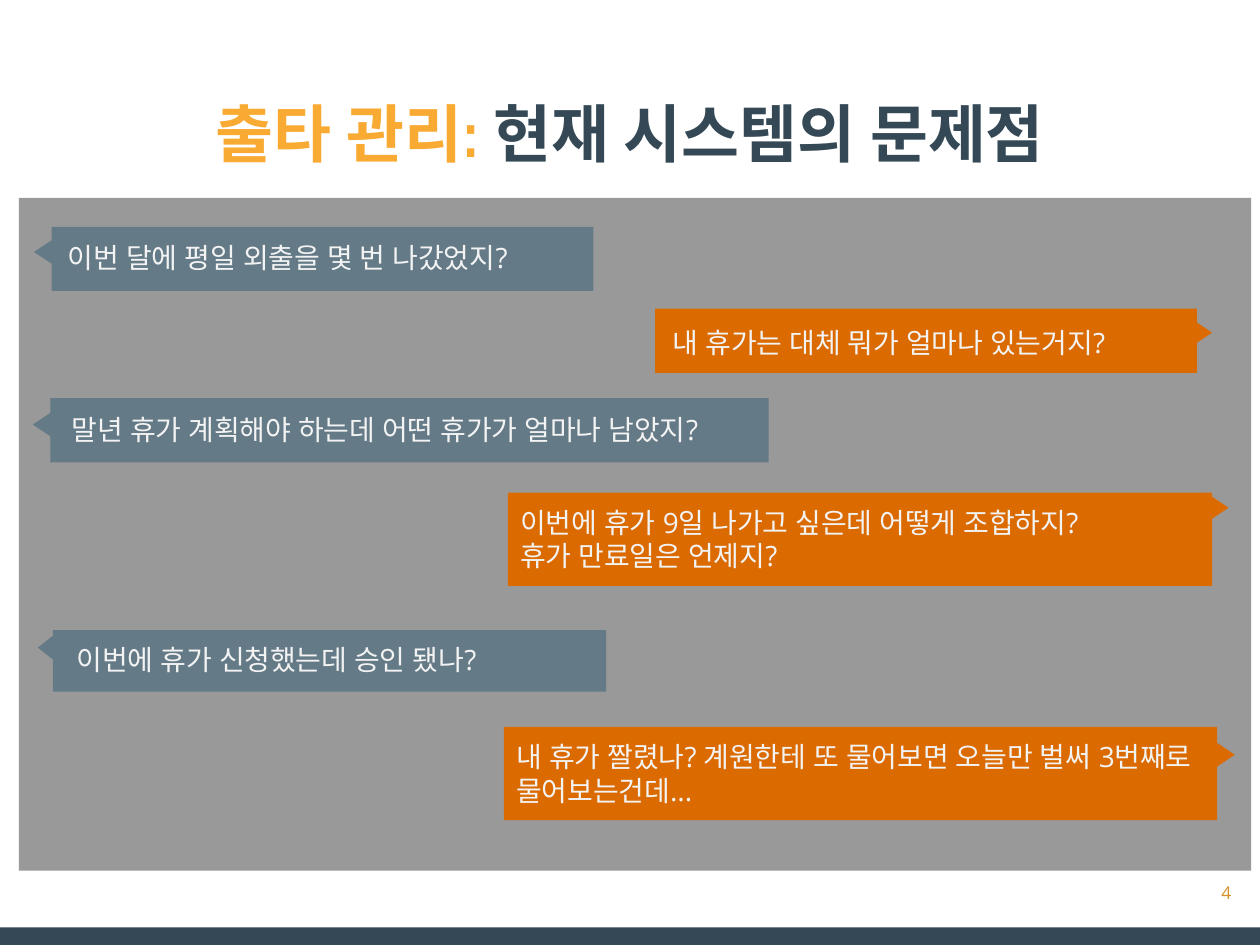
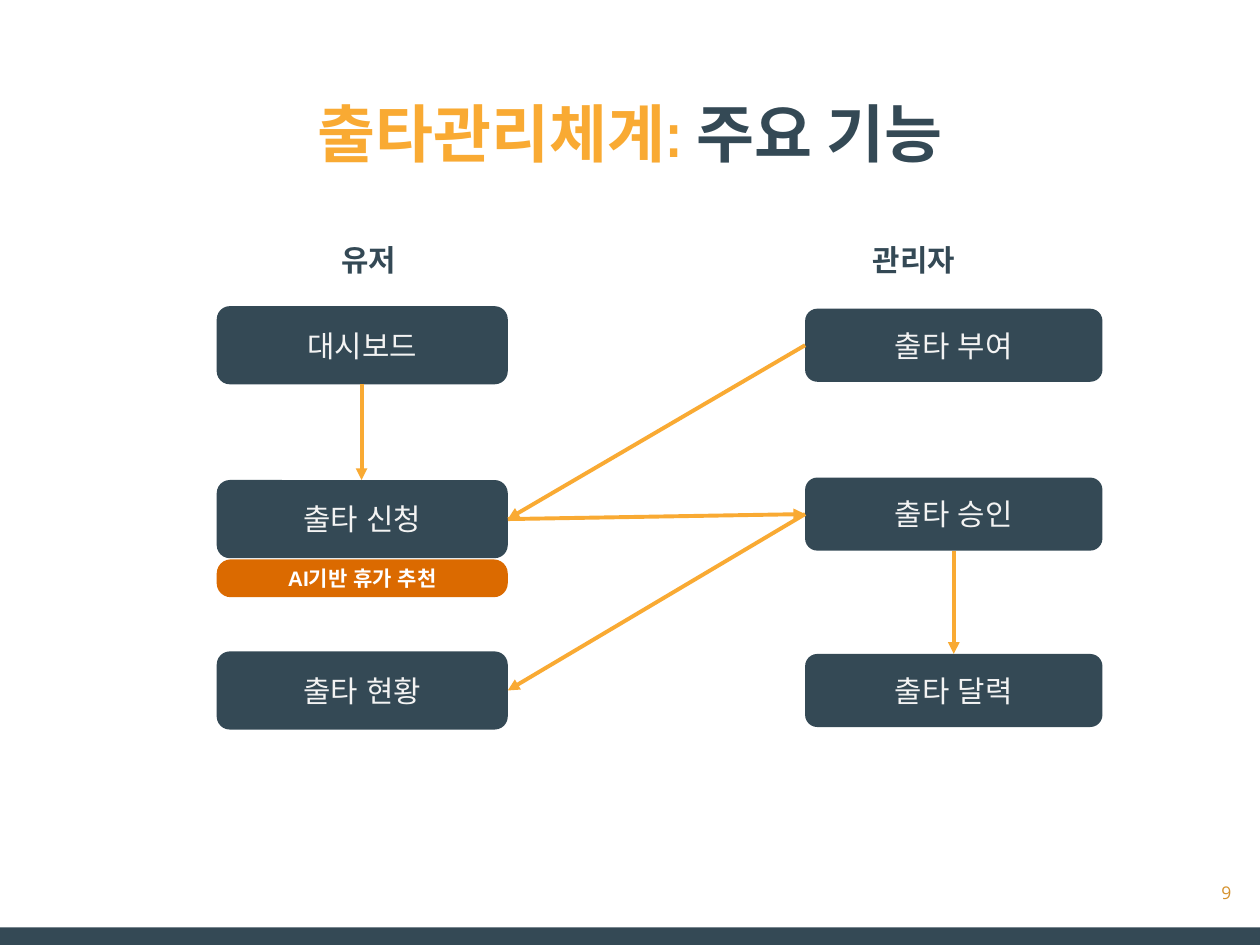
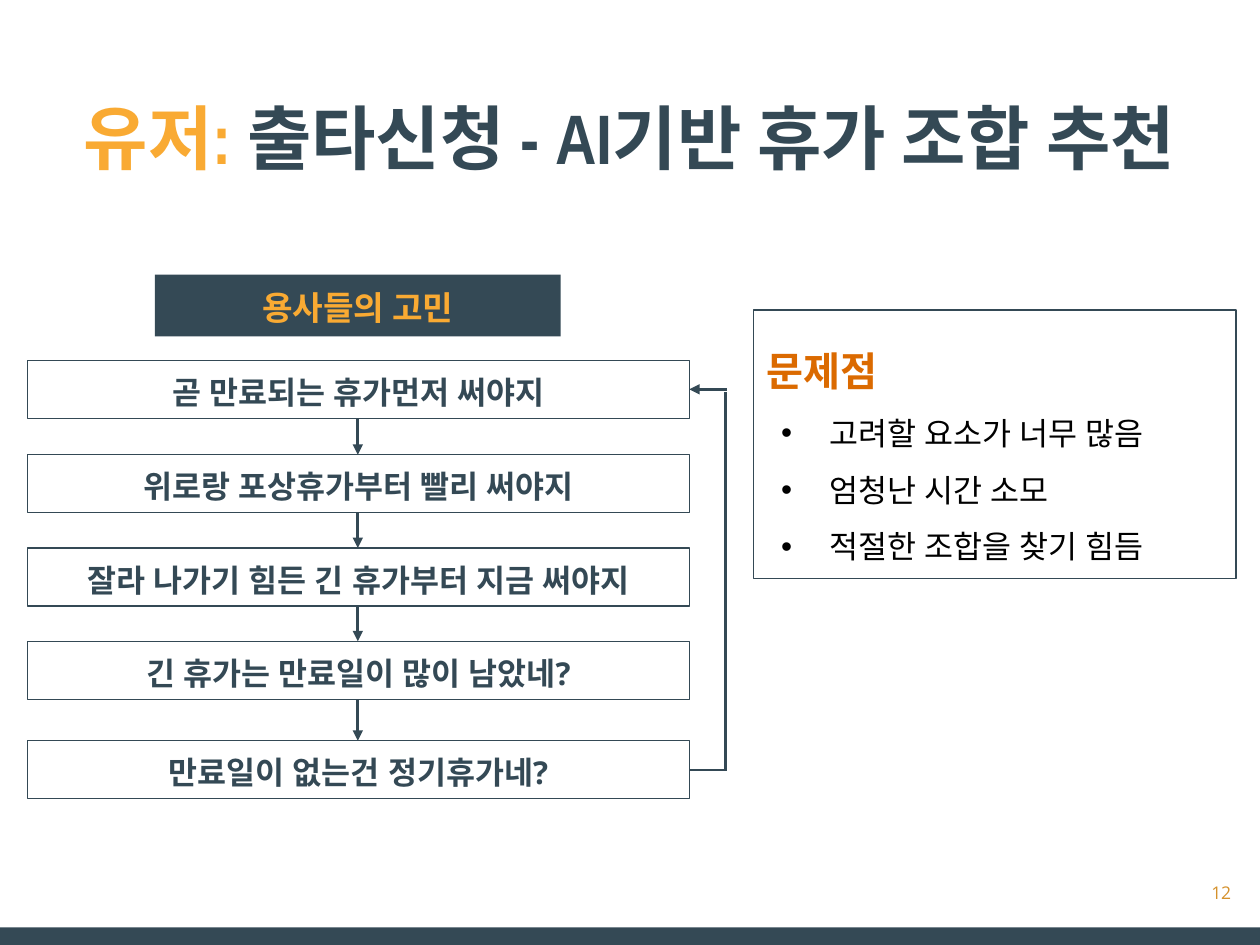
from dataclasses import dataclass

from lxml.etree import SubElement
from pptx import Presentation
from pptx.dml.color import RGBColor
from pptx.enum.shapes import MSO_CONNECTOR, MSO_SHAPE
from pptx.enum.text import MSO_ANCHOR, MSO_AUTO_SIZE, PP_ALIGN
from pptx.oxml.ns import qn
from pptx.util import Pt

PX = 9144


@dataclass(frozen=True)
class Theme:
    navy: str = "344955"
    gold: str = "F9AA33"
    rust: str = "DB6A00"
    slate: str = "647A87"
    grey: str = "999999"
    pale: str = "F3F3F3"
    white: str = "FFFFFF"
    black: str = "000000"
    amber: str = "D5912C"
    sans: str = "Open Sans"
    plain: str = "Arial"
    narrow: str = "Arial Narrow"
    page: int = 10
    tag: int = 12
    chat: int = 16
    node: int = 17
    step: int = 18
    head: int = 19
    issue: int = 23
    title: int = 36
    large: int = 40


theme = Theme()
RECT, ROUND = MSO_SHAPE.RECTANGLE, MSO_SHAPE.ROUNDED_RECTANGLE
LEFT, MID, RIGHT = PP_ALIGN.LEFT, PP_ALIGN.CENTER, PP_ALIGN.RIGHT


def write(para, text, *, size, color, font=theme.sans, bold=False, align=LEFT):
    para.alignment = align
    run = para.add_run()
    run.text = text
    run.font.size = Pt(size)
    run.font.bold = bold
    run.font.color.rgb = RGBColor.from_string(color)
    run.font.name = font
    SubElement(run.font._element, qn("a:ea")).set("typeface", font)


def place(slide, kind, area, fill=None, line=None, anchor=MSO_ANCHOR.TOP):
    spot = [n * PX for n in area]
    if kind is None:
        shape = slide.shapes.add_textbox(*spot)
    else:
        shape = slide.shapes.add_shape(kind, *spot)
        shape.shadow.inherit = False
        if fill:
            shape.fill.solid()
            shape.fill.fore_color.rgb = RGBColor.from_string(fill)
        else:
            shape.fill.background()
        if line:
            shape.line.color.rgb = RGBColor.from_string(line)
            shape.line.width = Pt(0.75)
        else:
            shape.line.fill.background()
    frame = shape.text_frame
    frame.word_wrap = True
    frame.vertical_anchor = anchor
    frame.margin_left = frame.margin_right = 10 * PX
    frame.margin_top = frame.margin_bottom = 10 * PX
    return shape


deck = Presentation()
deck.slide_width, deck.slide_height = 1000 * PX, 750 * PX

slides = []
for layout, lead, rest, size, left, width, page in [
    (5, "출타 관리: ", "현재 시스템의 문제점", theme.title, 34, 932, "4"),
    (5, "출타관리체계: ", "주요 기능", theme.title, 34, 932, "9"),
    (1, "유저: ", "출타신청 - AI기반 휴가 조합 추천", theme.large, 6, 987, "12"),
]:
    slide = deck.slides.add_slide(deck.slide_layouts[layout])
    slides.append(slide)
    title = slide.shapes.title
    title.left, title.top = left * PX, 65 * PX
    title.width, title.height = width * PX, 103 * PX
    frame = title.text_frame
    frame.auto_size = MSO_AUTO_SIZE.NONE
    frame.vertical_anchor = MSO_ANCHOR.TOP
    frame.margin_left = frame.margin_right = 10 * PX
    frame.margin_top = frame.margin_bottom = 10 * PX
    for text, color in [(lead, theme.gold), (rest, theme.navy)]:
        write(frame.paragraphs[0], text, size=size, color=color,
              font=theme.narrow, bold=True, align=MID)
    foot = place(slide, None, (927, 680, 60, 57), anchor=MSO_ANCHOR.MIDDLE)
    write(foot.text_frame.paragraphs[0], page, size=theme.page,
          color=theme.amber, align=RIGHT)

talk, flow, pick = slides
band = place(talk, RECT, (0, 736, 1000, 14), theme.navy)
deck.slide_master.element.cSld.spTree.append(band.element)

place(talk, RECT, (15, 157, 978, 534), theme.grey)
for fill, area, tip, label, lines in [
    (theme.slate, (41, 180, 430, 51), (33, 182, 24, 36), (44, 181, 407, 58),
     ["이번 달에 평일 외출을 몇 번 나갔었지?"]),
    (theme.rust, (520, 245, 430, 51), (932, 246, 24, 36), (524, 248, 426, 58),
     ["내 휴가는 대체 뭐가 얼마나 있는거지?"]),
    (theme.slate, (40, 316, 570, 51), (32, 319, 24, 36), (47, 317, 592, 58),
     ["말년 휴가 계획해야 하는데 어떤 휴가가 얼마나 남았지?"]),
    (theme.rust, (403, 391, 559, 74), (945, 385, 24, 36), None,
     ["이번에 휴가 9일 나가고 싶은데 어떻게 조합하지?", "휴가 만료일은 언제지?"]),
    (theme.slate, (42, 500, 439, 49), (33, 500, 22, 28), (51, 500, 418, 44),
     ["이번에 휴가 신청했는데 승인 됐나?"]),
    (theme.rust, (400, 577, 566, 74), (950, 581, 24, 36), None,
     ["내 휴가 짤렸나? 계원한테 또 물어보면 오늘만 벌써 3번째로 물어보는건데..."]),
]:
    place(talk, MSO_SHAPE.FLOWCHART_DECISION, tip, fill).rotation = 90
    bubble = place(talk, RECT, area, fill)
    frame = (place(talk, None, label) if label else bubble).text_frame
    for i, text in enumerate(lines):
        para = frame.add_paragraph() if i else frame.paragraphs[0]
        write(para, text, size=theme.chat, color=theme.pale)

for text, area, align in [
    ("유저", (252, 182, 81, 58), MID),
    ("관리자", (683, 182, 100, 58), LEFT),
]:
    head = place(flow, None, area)
    write(head.text_frame.paragraphs[0], text, size=theme.node,
          color=theme.navy, bold=True, align=align)

for left, width, height, nodes in [
    (172, 231, 62, [("대시보드", 243), ("출타 신청", 381), ("출타 현황", 517)]),
    (639, 236, 58, [("출타 부여", 245), ("출타 승인", 379), ("출타 달력", 519)]),
]:
    for text, top in nodes:
        node = place(flow, ROUND, (left, top, width, height), theme.navy,
                     anchor=MSO_ANCHOR.MIDDLE)
        write(node.text_frame.paragraphs[0], text, size=theme.node,
              color=theme.pale, font=theme.plain, align=MID)

tag = place(flow, ROUND, (172, 444, 231, 30), theme.rust,
            anchor=MSO_ANCHOR.MIDDLE)
tag.adjustments[0] = 0.37
write(tag.text_frame.paragraphs[0], "AI기반 휴가 추천", size=theme.tag,
      color=theme.white, font=theme.plain, bold=True, align=MID)

head = place(pick, RECT, (123, 218, 322, 49), theme.navy)
write(head.text_frame.paragraphs[0], "용사들의 고민", size=theme.head,
      color=theme.gold, bold=True, align=MID)
steps = [
    ("곧 만료되는 휴가먼저 써야지", 286),
    ("위로랑 포상휴가부터 빨리 써야지", 361),
    ("잘라 나가기 힘든 긴 휴가부터 지금 써야지", 435),
    ("긴 휴가는 만료일이 많이 남았네?", 509),
    ("만료일이 없는건 정기휴가네?", 588),
]
for text, top in steps:
    step = place(pick, RECT, (22, top, 525, 46), line=theme.navy)
    write(step.text_frame.paragraphs[0], text, size=theme.step,
          color=theme.navy, bold=True, align=MID)

body = pick.placeholders[1]
body.left, body.top = 598 * PX, 246 * PX
body.width, body.height = 383 * PX, 213 * PX
body.line.color.rgb = RGBColor.from_string(theme.navy)
body.line.width = Pt(0.75)
frame = body.text_frame
frame.auto_size = MSO_AUTO_SIZE.NONE
frame.margin_left = frame.margin_right = 10 * PX
frame.margin_top = frame.margin_bottom = 10 * PX
issues = ["문제점", "고려할 요소가 너무 많음", "엄청난 시간 소모", "적절한 조합을 찾기 힘듬"]
for i, text in enumerate(issues):
    para = frame.add_paragraph() if i else frame.paragraphs[0]
    para.line_spacing = 1.5
    para.space_before = Pt(0)
    props = para._p.get_or_add_pPr()
    props.set("marL", str(50 * PX if i else 0))
    props.set("indent", str(-38 * PX if i else 0))
    if i:
        SubElement(props, qn("a:buChar")).set("char", "•")
        write(para, text, size=theme.step, color=theme.black)
    else:
        SubElement(props, qn("a:buNone"))
        write(para, text, size=theme.issue, color=theme.rust, bold=True)

links = [
    (639, 274, 403, 412, True),
    (403, 412, 639, 408, True),
    (639, 408, 403, 548, True),
    (757, 437, 757, 519, True),
    (287, 305, 287, 381, True),
]
loop = [
    (547, 611, 577, 611, False),
    (576, 311, 576, 611, False),
    (577, 309, 547, 309, True),
]
drops = [(284, top + 46, 284, end, True)
         for (_, top), (_, end) in zip(steps, steps[1:])]
for slide, color, weight, lines in [
    (flow, theme.gold, 2.25, links),
    (pick, theme.navy, 1.5, drops + loop),
]:
    for *ends, arrow in lines:
        line = slide.shapes.add_connector(
            MSO_CONNECTOR.STRAIGHT, *[n * PX for n in ends])
        line.line.color.rgb = RGBColor.from_string(color)
        line.line.width = Pt(weight)
        if arrow:
            SubElement(line.line._get_or_add_ln(), qn("a:tailEnd")).set(
                "type", "triangle")
        SubElement(line.element.spPr, qn("a:effectLst"))

deck.save("out.pptx")
